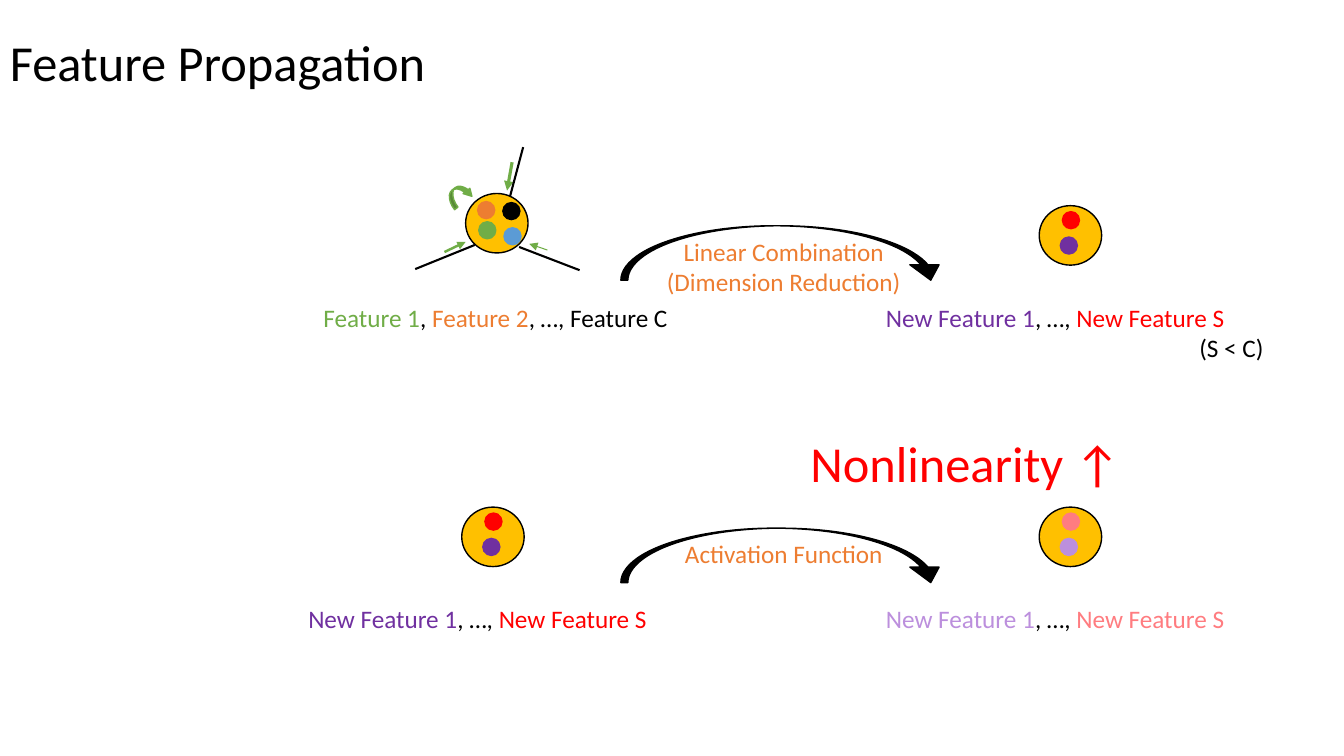
from dataclasses import dataclass

from lxml import etree
from pptx import Presentation
from pptx.dml.color import RGBColor
from pptx.enum import shapes, text
from pptx.oxml import ns
from pptx.util import Pt

BLACK, RED, PURPLE = "000000", "FF0000", "7030A0"
GREEN, ORANGE, BLUE, GOLD = "70AD47", "ED7D31", "5B9BD5", "FFC000"
PINK, LILAC = "FF7C80", "BC8FDD"
NODE_W, NODE_H, DOT = 44.6, 42.5, 12.2


@dataclass
class Dot:
    dx: float
    dy: float
    color: str


@dataclass
class Node:
    x: float
    y: float
    dots: list[Dot]


@dataclass
class Arrow:
    x: float
    y: float
    w: float
    h: float
    color: str
    adjust: tuple[float, float, float]
    rotation: float = 0


@dataclass
class Edge:
    start: tuple[float, float]
    end: tuple[float, float]
    color: str
    width: float
    head: bool = False


@dataclass
class Label:
    x: float
    y: float
    w: float
    h: float
    lines: list[list[tuple[str, str]]]  # paragraphs of (wording, color)
    size: float = 18
    centered: bool = False
    title: bool = False


def rgb(value: str) -> RGBColor:
    return RGBColor.from_string(value)


def apply(target, values: dict) -> None:
    for name, value in values.items():
        setattr(target, name, value)


def draw_shape(slide, kind, box: tuple, fill: str, line: str):
    shape = slide.shapes.add_shape(kind, *map(Pt, box))
    shape.shadow.inherit = False
    shape.fill.solid()
    shape.fill.fore_color.rgb = rgb(fill)
    shape.line.color.rgb = rgb(line)
    shape.line.width = Pt(1)
    return shape


def draw_node(slide, node: Node) -> None:
    oval = shapes.MSO_SHAPE.OVAL
    draw_shape(slide, oval, (node.x, node.y, NODE_W, NODE_H), GOLD, BLACK)
    for dot in node.dots:
        box = (node.x + dot.dx, node.y + dot.dy, DOT, DOT)
        draw_shape(slide, oval, box, dot.color, dot.color)


def draw_arrow(slide, arrow: Arrow) -> None:
    box = (arrow.x, arrow.y, arrow.w, arrow.h)
    curve = draw_shape(slide, shapes.MSO_SHAPE.CURVED_UP_ARROW, box, arrow.color, arrow.color)
    for index, value in enumerate(arrow.adjust):
        curve.adjustments[index] = value
    curve.rotation = arrow.rotation
    curve._element.spPr.find(ns.qn("a:xfrm")).set("flipV", "1")


def draw_edge(slide, edge: Edge) -> None:
    line = slide.shapes.add_connector(
        shapes.MSO_CONNECTOR.STRAIGHT, *map(Pt, edge.start + edge.end))
    line.line.color.rgb = rgb(edge.color)
    line.line.width = Pt(edge.width)
    if edge.head:
        etree.SubElement(line.line._get_or_add_ln(), ns.qn("a:tailEnd"), type="triangle")
    etree.SubElement(line._element.spPr, ns.qn("a:effectLst"))


def draw_label(slide, label: Label) -> None:
    box = slide.shapes.add_textbox(*map(Pt, (label.x, label.y, label.w, label.h)))
    frame = box.text_frame
    fit, anchor = text.MSO_AUTO_SIZE, text.MSO_ANCHOR
    apply(frame, {
        "word_wrap": label.title,
        "auto_size": fit.NONE if label.title else fit.SHAPE_TO_FIT_TEXT,
        "vertical_anchor": anchor.MIDDLE if label.title else anchor.TOP,
    })
    for index, runs in enumerate(label.lines):
        paragraph = frame.add_paragraph() if index else frame.paragraphs[0]
        apply(paragraph, {
            "alignment": text.PP_ALIGN.CENTER if label.centered else text.PP_ALIGN.LEFT,
            "line_spacing": 0.9 if label.title else 1.0,
        })
        for wording, color in runs:
            run = paragraph.add_run()
            run.text = wording
            apply(run.font, {"name": "Calibri", "size": Pt(label.size)})
            run.font.color.rgb = rgb(color)


def new_dots(upper: str, lower: str) -> list[Dot]:
    return [Dot(16.6, 4.3, upper), Dot(15.1, 22.4, lower)]


def new_features(x: float, y: float, first: str, last: str) -> Label:
    runs = [("New Feature 1", first), (", …, ", BLACK), ("New Feature S", last)]
    return Label(x, y, 260.6, 51.1, [runs])


# Content: left and right columns, combination row and activation row
RIGHT_NODE, RIGHT_CAPTION = 742.3, 625.7
TOP_CAPTION, LOW_CAPTION, LOW_NODE = 212.4, 427.7, 362.2

NODES = [
    Node(332.6, 138.2, [Dot(8.6, 5.8, ORANGE), Dot(9.4, 20.2, GREEN),
                        Dot(26.6, 6.5, BLACK), Dot(27.4, 24.5, BLUE)]),
    Node(RIGHT_NODE, 146.9, new_dots(RED, PURPLE)),
    Node(329.8, LOW_NODE, new_dots(RED, PURPLE)),
    Node(RIGHT_NODE, LOW_NODE, new_dots(PINK, LILAC)),
]

STEP_ADJUST = (0.127, 0.537, 0.284)
ARROWS = [
    Arrow(319, 133.2, 18.7, 12.2, GREEN, (0.25, 0.5, 0.44), 322.2),
    *(Arrow(443.5, y, 231.8, 38.9, BLACK, STEP_ADJUST) for y in (161.3, 377.3)),
]

EDGES = [
    Edge((365.8, 115.9), (362.2, 136.1), GREEN, 2.25, True),
    Edge((391, 178.6), (378, 174.2), GREEN, 0.75, True),
    Edge((317.5, 180), (332.6, 172.8), GREEN, 1.75, True),
    Edge((339.1, 175), (296.6, 192.2), BLACK, 1.5),
    Edge((373.7, 105.1), (364.3, 140.4), BLACK, 1.5),
    Edge((414, 193), (370.8, 176.4), BLACK, 1.5),
]

LABELS = [
    Label(0, -5.8, 828, 104.4, [[("Feature Propagation", BLACK)]], 36, title=True),
    Label(223.9, TOP_CAPTION, 262.8, 51.1, [[
        ("Feature 1", GREEN), (", ", BLACK), ("Feature 2", ORANGE), (", …, Feature C", BLACK)]]),
    Label(468, 164.9, 183.6, 72.7, [[("Linear Combination", ORANGE)],
                                    [("(Dimension Reduction)", ORANGE)]], centered=True),
    new_features(RIGHT_CAPTION, TOP_CAPTION, PURPLE, RED),
    Label(849.6, 234, 61.2, 28.8, [[("(S < C)", BLACK)]]),
    new_features(213.1, LOW_CAPTION, PURPLE, RED),
    Label(481, 380.9, 157.7, 28.8, [[("Activation Function", ORANGE)]], centered=True),
    new_features(RIGHT_CAPTION, LOW_CAPTION, LILAC, PINK),
    Label(571.7, 305.3, 238.3, 51.1, [[("Nonlinearity ↑", RED)]], 36),
]


def main() -> None:
    deck = Presentation()
    apply(deck, {"slide_width": Pt(960), "slide_height": Pt(540)})
    slide = deck.slides.add_slide(deck.slide_layouts[6])
    for draw, parts in ((draw_node, NODES), (draw_arrow, ARROWS),
                        (draw_edge, EDGES), (draw_label, LABELS)):
        for part in parts:
            draw(slide, part)
    deck.save("out.pptx")


if __name__ == "__main__":
    main()
